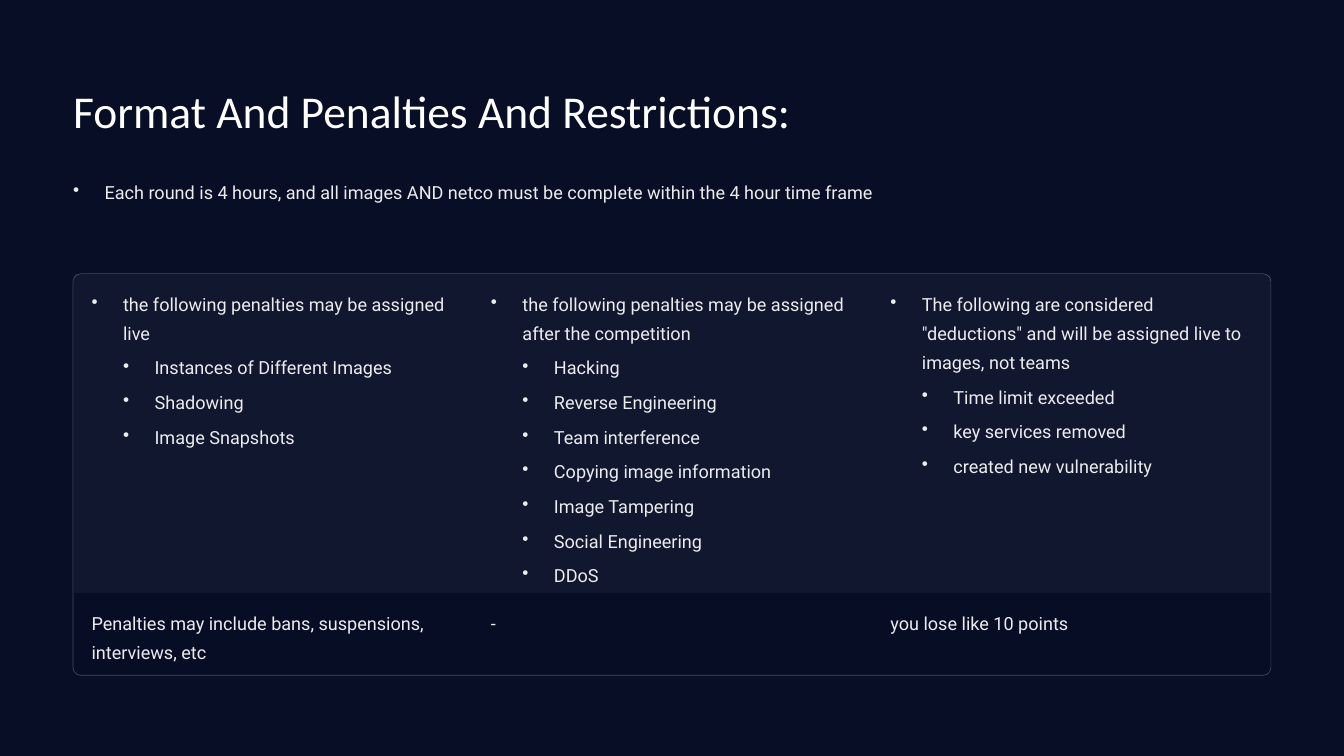
from lxml import etree
from pptx import Presentation
from pptx.dml.color import RGBColor
from pptx.enum.shapes import MSO_SHAPE
from pptx.oxml.ns import qn
from pptx.util import Inches, Pt

RECTANGLE = MSO_SHAPE.RECTANGLE
ROUNDED = MSO_SHAPE.ROUNDED_RECTANGLE

NAVY = RGBColor(0x08, 0x0E, 0x26)
WHITE = RGBColor(0xFF, 0xFF, 0xFF)
BLACK = RGBColor(0x00, 0x00, 0x00)
PALE = RGBColor(0xEB, 0xEC, 0xEF)

LEFT, WIDTH = 0.87, 14.26
COLUMN_LEFT, COLUMN_STEP, COLUMN_WIDTH = 1.09, 4.755, 4.31
INDENT = 0.375

# Each column: heading, bulleted items, consequence
COLUMNS = [
    ("the following penalties may be assigned live",
     ["Instances of Different Images", "Shadowing", "Image Snapshots"],
     "Penalties may include bans, suspensions, interviews, etc"),
    ("the following penalties may be assigned after the competition",
     ["Hacking", "Reverse Engineering", "Team interference",
      "Copying image information", "Image Tampering", "Social Engineering",
      "DDoS"],
     "-"),
    ('The following are considered "deductions" and will be assigned live '
     "to images, not teams",
     ["Time limit exceeded", "key services removed",
      "created new vulnerability"],
     "you lose like 10 points"),
]


def set_alpha(fill, percent):
    """Make a solid fill see-through."""
    color = fill._xPr.find(qn("a:solidFill"))[0]
    etree.SubElement(color, qn("a:alpha"), val=str(percent * 1000))


def add_panel(page, kind, left, top, width, height):
    panel = page.shapes.add_shape(
        kind, Inches(left), Inches(top), Inches(width), Inches(height))
    panel.shadow.inherit = False
    return panel


def add_band(page, top, height, color):
    band = add_panel(page, RECTANGLE, LEFT + 0.01, top, WIDTH - 0.01, height)
    band.fill.solid()
    band.fill.fore_color.rgb = color
    set_alpha(band.fill, 4)
    band.line.fill.background()


def add_frame(page, top, height):
    frame = add_panel(page, ROUNDED, LEFT, top, WIDTH, height)
    frame.adjustments[0] = 0.019
    frame.fill.background()
    frame.line.width = Pt(0.6)
    frame.line.color.rgb = WHITE
    set_alpha(frame.line.fill, 24)


def add_bullet(para):
    props = para._p.get_or_add_pPr()
    props.set("marL", str(Inches(INDENT * (para.level + 1))))
    props.set("indent", str(Inches(-INDENT)))
    etree.SubElement(props, qn("a:buChar"), char="•")


def add_text(page, left, top, width, height, lines, bulleted=False,
             font="Roboto", size=15.5, color=PALE, spacing=25):
    """Add a text box; lines after the first are second-level items."""
    box = page.shapes.add_textbox(
        Inches(left), Inches(top), Inches(width), Inches(height))
    frame = box.text_frame
    frame.word_wrap = True
    frame.margin_left = frame.margin_right = 0
    frame.margin_top = frame.margin_bottom = 0
    for number, line in enumerate(lines):
        para = frame.add_paragraph() if number else frame.paragraphs[0]
        para.text = line
        if number:
            para.level = 1
            para.space_before = Pt(4.7)
        if bulleted:
            add_bullet(para)
        para.line_spacing = Pt(spacing)
        para.font.name = font
        para.font.size = Pt(size)
        para.font.color.rgb = color


def main():
    deck = Presentation()
    deck.slide_width, deck.slide_height = Inches(16), Inches(9)
    page = deck.slides.add_slide(deck.slide_layouts[6])
    page.background.fill.solid()
    page.background.fill.fore_color.rgb = NAVY

    # Title and round format
    add_text(page, LEFT, 0.96, 10.17, 0.68,
             ["Format And Penalties And Restrictions:"],
             font="Calibri", size=39, color=WHITE, spacing=48.5)
    add_text(page, LEFT, 2.07, WIDTH, 0.35,
             ["Each round is 4 hours, and all images AND netco must be "
              "complete within the 4 hour time frame"], bulleted=True)

    # Card with a light upper band and a dark lower band
    add_frame(page, 3.26, 4.78)
    add_band(page, 3.27, 3.79, WHITE)
    add_band(page, 7.06, 0.97, BLACK)

    # Penalty lists above, consequences below
    for number, (heading, items, consequence) in enumerate(COLUMNS):
        left = COLUMN_LEFT + number * COLUMN_STEP
        add_text(page, left, 3.4, COLUMN_WIDTH, 3.59, [heading] + items,
                 bulleted=True)
        add_text(page, left, 7.2, COLUMN_WIDTH, 0.69, [consequence])

    deck.save("out.pptx")


if __name__ == "__main__":
    main()
